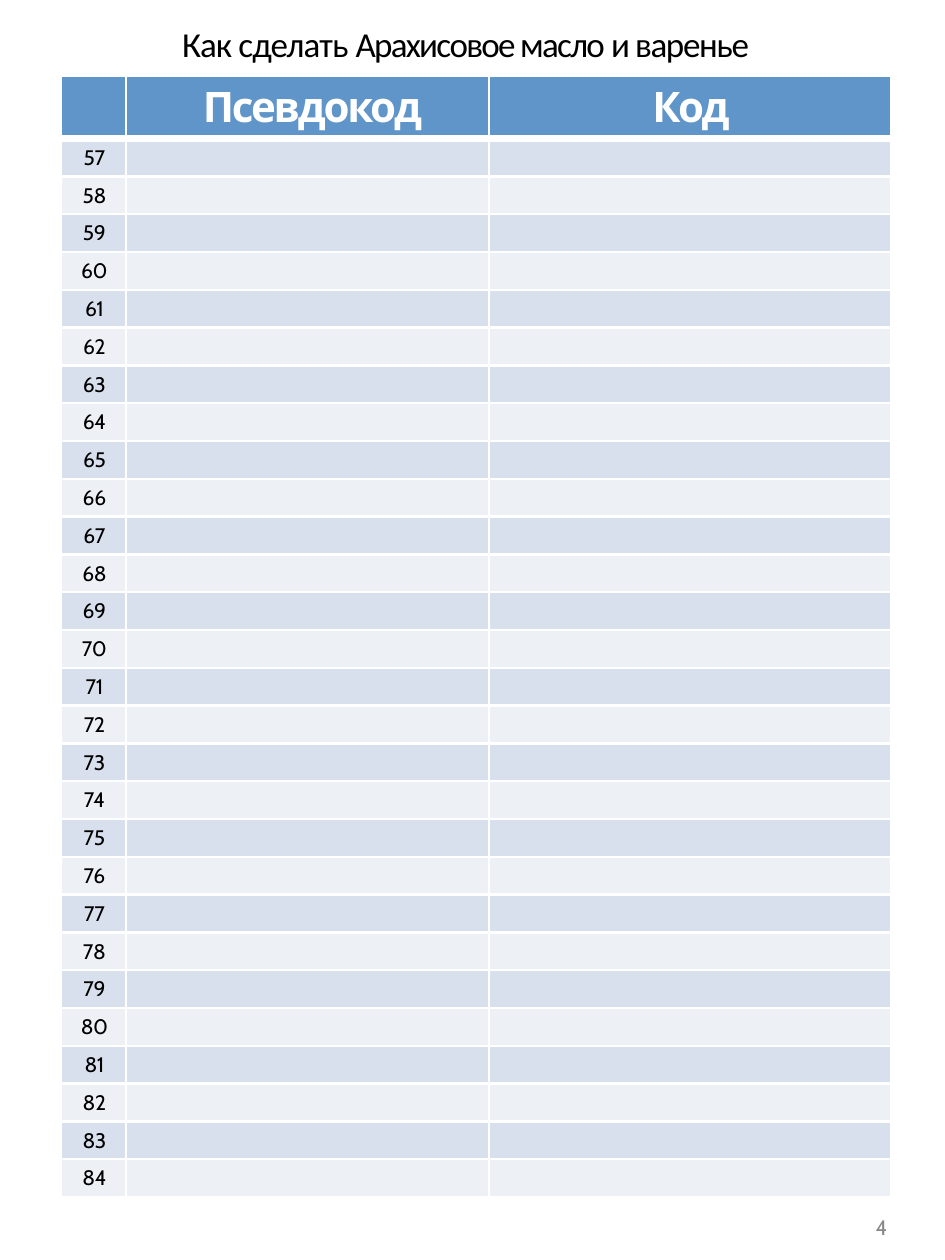
from lxml import etree
from pptx import Presentation
from pptx.dml.color import RGBColor
from pptx.enum.text import MSO_ANCHOR, PP_ALIGN
from pptx.oxml.ns import qn
from pptx.util import Inches, Pt

LEFT, CENTER = PP_ALIGN.LEFT, PP_ALIGN.CENTER
TOP = MSO_ANCHOR.TOP

BLACK = RGBColor(0x00, 0x00, 0x00)
WHITE = RGBColor(0xFF, 0xFF, 0xFF)
GREY = RGBColor(0x89, 0x89, 0x89)
HEADER_BLUE = RGBColor(0x60, 0x95, 0xC9)
BANDS = (RGBColor(0xD9, 0xE0, 0xED), RGBColor(0xED, 0xF1, 0xF6))

TITLE_PARTS = (("Как сделать ", -0.5), ("Арахисовое масло ", -1), ("и варенье ", -0.8))
HEADINGS = ("", "Псевдокод", "Код")
COLUMN_WIDTHS = (0.52, 2.88, 3.19)
FIRST_LINE, LAST_LINE = 57, 84
HEADER_HEIGHT, LINE_HEIGHT = 0.5, 0.3
THIN, THICK = 1.5, 4.25


def add_text(paragraph, text, font="Cabin", size=12, color=BLACK, bold=False,
             spacing=-0.2, align=LEFT, indent=0):
    paragraph.alignment = align
    properties = paragraph._p.get_or_add_pPr()
    properties.set("marL", str(Inches(indent)))
    properties.set("indent", "0")
    run = paragraph.add_run()
    run.text = text
    run.font.name = font
    run.font.size = Pt(size)
    run.font.bold = bold
    run.font.color.rgb = color
    run._r.get_or_add_rPr().set("spc", str(round(spacing * 100)))


def set_frame(frame, top_margin=0.01):
    frame.word_wrap = True
    frame.vertical_anchor = TOP
    frame.margin_left = frame.margin_right = frame.margin_bottom = 0
    frame.margin_top = Inches(top_margin)


def set_borders(cell, top, bottom):
    properties = cell._tc.get_or_add_tcPr()
    for side, width in (("L", THIN), ("R", THIN), ("T", top), ("B", bottom)):
        line = etree.SubElement(properties, qn(f"a:ln{side}"), w=str(Pt(width)))
        fill = etree.SubElement(line, qn("a:solidFill"))
        etree.SubElement(fill, qn("a:srgbClr"), val=str(WHITE))


def format_cell(cell, color, top=THIN, bottom=THIN):
    set_borders(cell, top, bottom)
    cell.fill.solid()
    cell.fill.fore_color.rgb = color
    cell.vertical_anchor = TOP
    cell.margin_left = cell.margin_right = cell.margin_bottom = 0
    cell.margin_top = Inches(0.05)
    if not cell.text:
        ending = etree.SubElement(cell.text_frame.paragraphs[0]._p, qn("a:endParaRPr"))
        ending.set("sz", "1200")


def add_title(slide, left, top, width, height):
    title = slide.shapes.title
    title.left, title.top = Inches(left), Inches(top)
    title.width, title.height = Inches(width), Inches(height)
    set_frame(title.text_frame)
    for text, spacing in TITLE_PARTS:
        add_text(title.text_frame.paragraphs[0], text, font="Calibri", size=20,
                 spacing=spacing, align=CENTER, indent=0.01)


def add_worksheet(slide, left, top, width, height):
    lines = range(FIRST_LINE, LAST_LINE + 1)
    table = slide.shapes.add_table(
        len(lines) + 1, len(HEADINGS),
        Inches(left), Inches(top), Inches(width), Inches(height)).table
    for column, column_width in zip(table.columns, COLUMN_WIDTHS):
        column.width = Inches(column_width)
    for row in table.rows:
        row.height = Inches(LINE_HEIGHT)
    table.rows[0].height = Inches(HEADER_HEIGHT)

    heading_formats = ({}, {"indent": 0.61, "spacing": -1.3},
                       {"align": CENTER, "indent": 0.02, "spacing": -1.4})
    for cell, heading, options in zip(table.rows[0].cells, HEADINGS, heading_formats):
        if heading:
            add_text(cell.text_frame.paragraphs[0], heading, size=24,
                     color=WHITE, bold=True, **options)
        format_cell(cell, HEADER_BLUE, bottom=THICK)

    for index, number in enumerate(lines):
        cells = table.rows[index + 1].cells
        add_text(cells[0].text_frame.paragraphs[0], str(number),
                 align=CENTER, indent=0.02)
        for cell in cells:
            format_cell(cell, BANDS[index % 2], top=THIN if index else THICK)


def add_page_number(slide, left, top, width, height):
    box = slide.shapes.add_textbox(Inches(left), Inches(top), Inches(width), Inches(height))
    set_frame(box.text_frame)
    add_text(box.text_frame.paragraphs[0], "4", color=GREY, indent=0.03)


def main():
    presentation = Presentation()
    presentation.slide_width = Inches(7.5)
    presentation.slide_height = Inches(10)
    slide = presentation.slides.add_slide(presentation.slide_layouts[5])
    add_title(slide, 0.97, 0.17, 5.49, 0.36)
    add_worksheet(slide, 0.48, 0.6, 6.59, 8.9)
    add_page_number(slide, 6.92, 9.63, 0.14, 0.23)
    presentation.save("out.pptx")


if __name__ == "__main__":
    main()
